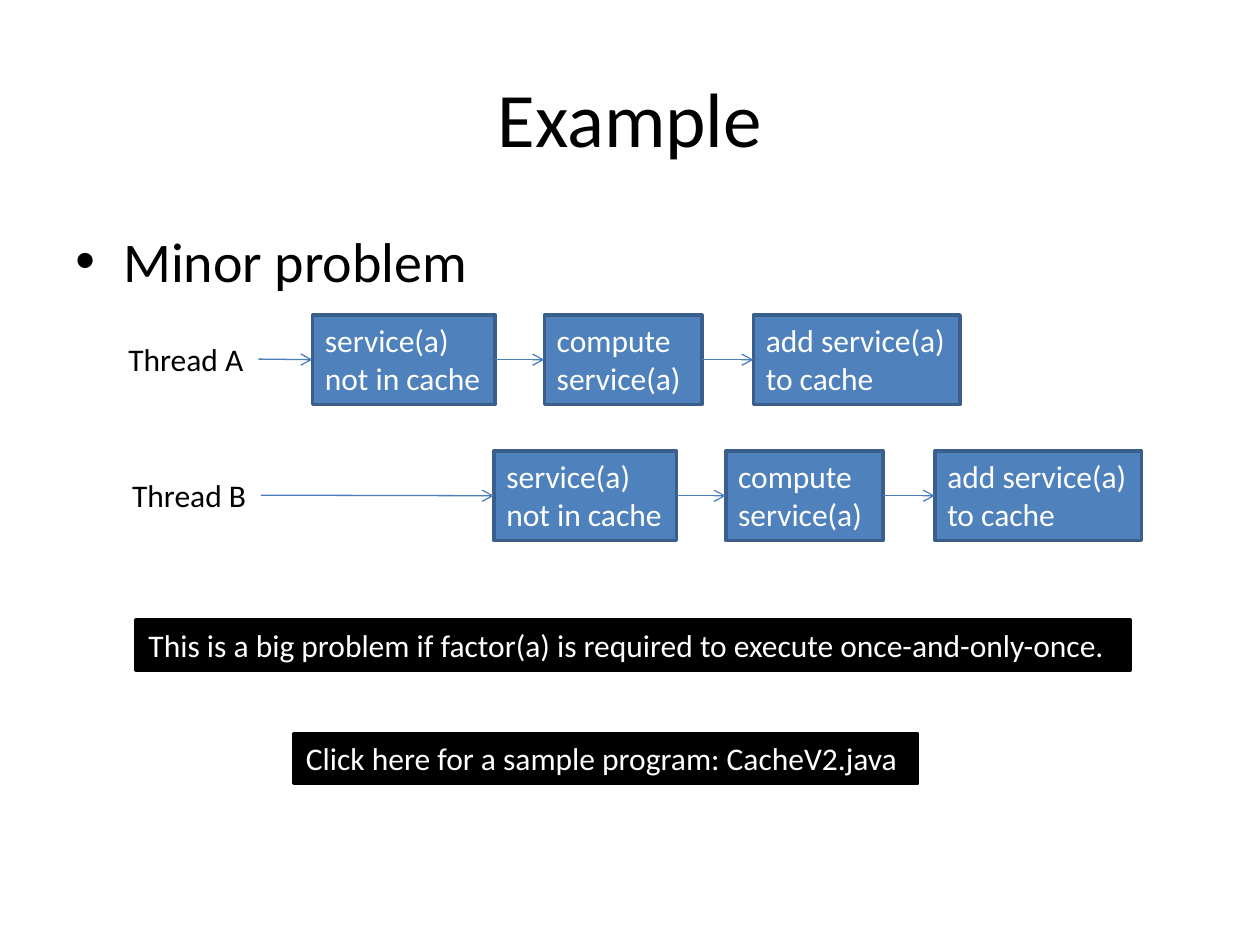
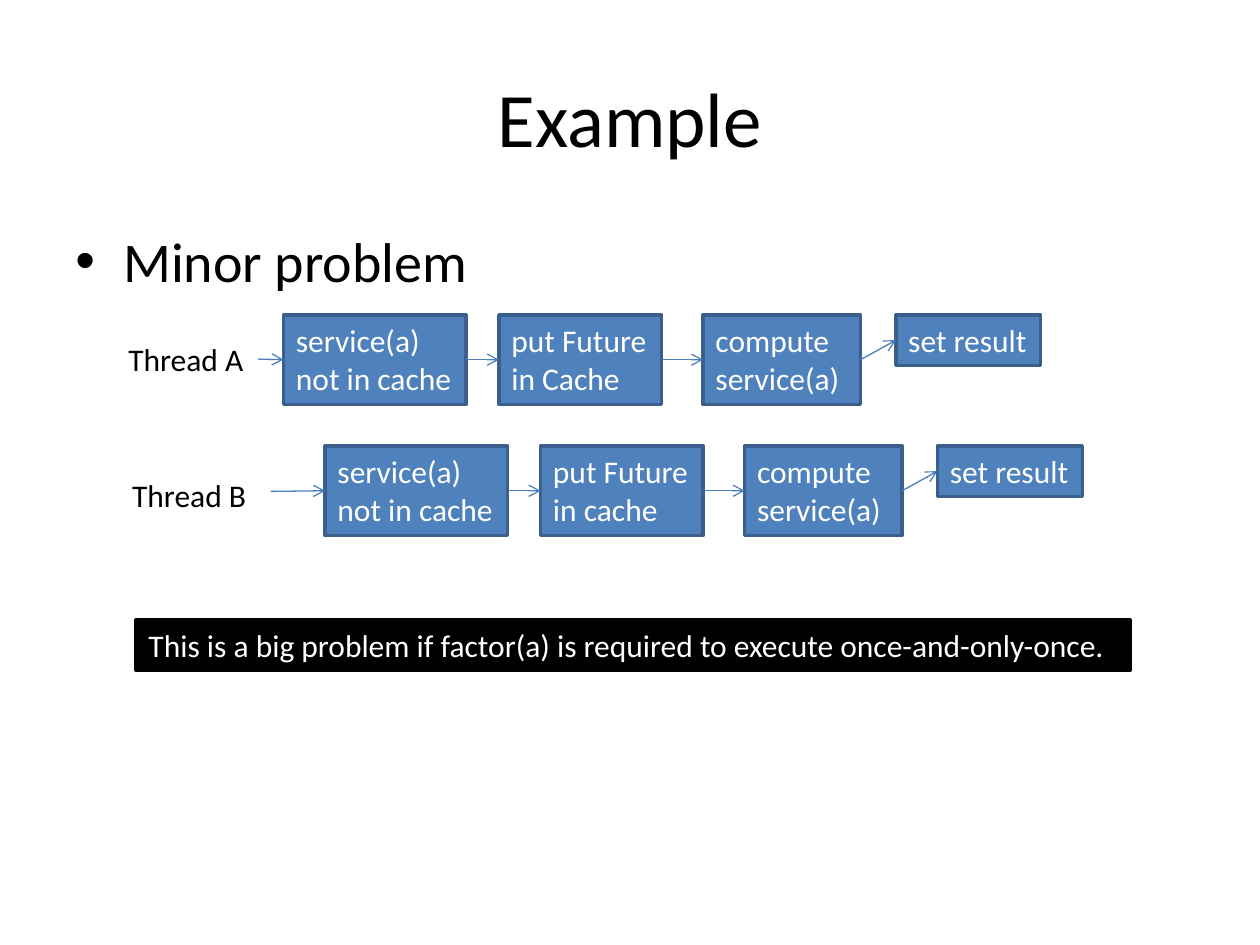
import pptx
import pptx.util
import pptx.dml.color
import pptx.enum.shapes
import pptx.enum.text
import pptx.oxml
import pptx.oxml.ns
import lxml.etree

RGBColor = pptx.dml.color.RGBColor
BLACK = RGBColor(0x00, 0x00, 0x00)
WHITE = RGBColor(0xFF, 0xFF, 0xFF)
STEP_FILL = RGBColor(0x4F, 0x81, 0xBD)
STEP_EDGE = RGBColor(0x3A, 0x5F, 0x8C)
ARROW = RGBColor(0x4B, 0x7E, 0xBC)
FONT = "Calibri"
WIDTH, HEIGHT = pptx.util.Inches(10), pptx.util.Inches(7.5)
COLUMN, ROW = WIDTH / 100, HEIGHT / 75
LINE_ROWS = {1: 4, 2: 7.1}
RIGHT, LEFT = 3, 1

CHECK = ("service(a)\nnot in cache", 14.5)
COMPUTE = ("compute\nservice(a)", 12.5)
ADD = ("add service(a)\nto cache", 16.4)
SET_RESULT = ("set result", 11.5)
PUT_FUTURE_A = ("put Future\nin Cache", 12.9)
PUT_FUTURE_B = ("put Future\nin cache", 12.9)
CACHE_OFFSETS = (0, 18.4, 35)
FUTURE_OFFSETS = (0, 17.1, 33.3, 48.6)
LABEL_A = ("Thread A", (9.2, 26.5, 11.3, 4))
LABEL_B = ("Thread B", (9.5, 37.3, 11.2, 4))
WARNING = ("This is a big problem if factor(a) is required to execute once-and-only-once.",
           (10.8, 49.2, 78.9, 4))
SAMPLE = ("Click here for a sample program: CacheV2.java", (23.3, 58.2, 49.5, 4))


def place(box):
    left, top, width, height = box
    return round(left * COLUMN), round(top * ROW), round(width * COLUMN), round(height * ROW)


def write(holder, text, size, color, wrap=False, align=pptx.enum.text.PP_ALIGN.LEFT):
    frame = holder.text_frame
    frame.text = text
    frame.word_wrap = wrap
    for paragraph in frame.paragraphs:
        paragraph.alignment = align
        for run in paragraph.runs:
            run.font.size = pptx.util.Pt(size)
            run.font.name = FONT
            run.font.color.rgb = color
    return frame


def add_block(slide, text, box, fill, edge, wrap=False):
    block = slide.shapes.add_shape(pptx.enum.shapes.MSO_SHAPE.RECTANGLE, *place(box))
    block.shadow.inherit = False
    block.fill.solid()
    block.fill.fore_color.rgb = fill
    block.line.color.rgb = edge
    block.line.width = pptx.util.Pt(2)
    frame = write(block, text, 18, WHITE, wrap)
    frame.vertical_anchor = pptx.enum.text.MSO_ANCHOR.TOP
    frame.auto_size = pptx.enum.text.MSO_AUTO_SIZE.SHAPE_TO_FIT_TEXT
    return block


def add_label(slide, text, box):
    label = slide.shapes.add_textbox(*place(box))
    frame = write(label, text, 18, BLACK)
    frame.auto_size = pptx.enum.text.MSO_AUTO_SIZE.SHAPE_TO_FIT_TEXT
    return label


def add_arrow(slide, source, target, start=None):
    x, y = (round(start[0] * COLUMN), round(start[1] * ROW)) if start else (0, 0)
    arrow = slide.shapes.add_connector(
        pptx.enum.shapes.MSO_CONNECTOR.STRAIGHT, x, y, x, y)
    if not start:
        arrow.begin_connect(source, RIGHT)
    arrow.end_connect(target, LEFT)
    arrow.line.color.rgb = ARROW
    arrow.line.width = pptx.util.Pt(0.75)
    qn = pptx.oxml.ns.qn
    lxml.etree.SubElement(arrow.line._get_or_add_ln(), qn("a:tailEnd"), type="arrow")
    lxml.etree.SubElement(arrow._element.spPr, qn("a:effectLst"))


def add_thread(slide, label, origin, steps, offsets, start=None):
    left, top = origin
    previous = add_label(slide, *label)
    for (text, width), offset in zip(steps, offsets):
        height = LINE_ROWS[text.count("\n") + 1]
        step = add_block(slide, text, (left + offset, top, width, height),
                         STEP_FILL, STEP_EDGE)
        add_arrow(slide, previous, step, start)
        previous, start = step, None


def add_heading(slide, box):
    title = slide.shapes.title
    title.left, title.top, title.width, title.height = place(box)
    frame = write(title, "Example", 44, BLACK, True, pptx.enum.text.PP_ALIGN.CENTER)
    frame.vertical_anchor = pptx.enum.text.MSO_ANCHOR.MIDDLE


def add_bullet(slide, box):
    topic = slide.shapes.add_textbox(*place(box))
    paragraph = write(topic, "Minor problem", 32, BLACK, True).paragraphs[0]
    paragraph.space_before = pptx.util.Pt(6.4)
    properties = paragraph._p.get_or_add_pPr()
    indent = pptx.util.Inches(0.38)
    properties.set("marL", str(indent))
    properties.set("indent", str(-indent))
    qn = pptx.oxml.ns.qn
    lxml.etree.SubElement(properties, qn("a:buFont"), typeface="Arial")
    lxml.etree.SubElement(properties, qn("a:buChar"), char="•")


def add_example(deck, threads, banners):
    slide = deck.slides.add_slide(deck.slide_layouts[5])
    add_heading(slide, (5, 3, 90, 12.5))
    add_bullet(slide, (5, 17.5, 90, 49.5))
    for thread in threads:
        add_thread(slide, *thread)
    for text, box in banners:
        add_block(slide, text, box, BLACK, BLACK, True)


def main():
    deck = pptx.Presentation()
    deck.slide_width, deck.slide_height = WIDTH, HEIGHT
    cache_steps = (CHECK, COMPUTE, ADD)
    add_example(deck, (
        (LABEL_A, (24.8, 25), cache_steps, CACHE_OFFSETS),
        (LABEL_B, (39.2, 35.8), cache_steps, CACHE_OFFSETS),
    ), (WARNING, SAMPLE))
    add_example(deck, (
        (LABEL_A, (22.5, 25), (CHECK, PUT_FUTURE_A, COMPUTE, SET_RESULT), FUTURE_OFFSETS),
        (LABEL_B, (25.8, 35.4), (CHECK, PUT_FUTURE_B, COMPUTE, SET_RESULT), FUTURE_OFFSETS,
         (21.5, 39)),
    ), (WARNING,))
    deck.save("out.pptx")


if __name__ == "__main__":
    main()
